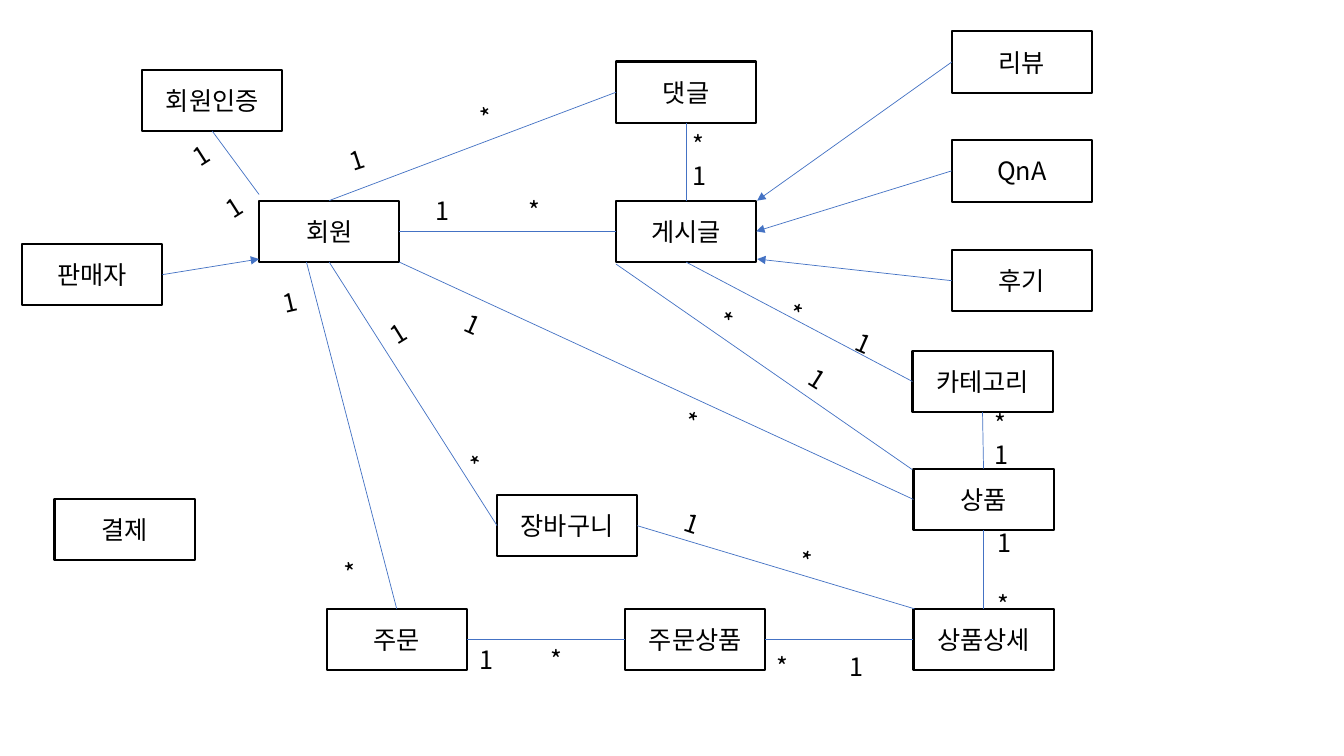
import pptx
import pptx.util
import pptx.dml.color
import pptx.enum.shapes
import pptx.enum.text
import pptx.oxml.ns
from lxml import etree

Inches = pptx.util.Inches
Pt = pptx.util.Pt
qn = pptx.oxml.ns.qn

COLORS = {"text": "000000", "border": "000000", "link": "4472C4"}
FONT = "Noto Sans CJK KR"
BOX_WIDTH, BOX_HEIGHT = 1.39, 0.61
LINE_HEIGHT = 22

# Entity name: left, top
ENTITIES = {
    "회원": (2.57, 1.99), "댓글": (6.11, 0.61), "게시글": (6.11, 1.99),
    "리뷰": (9.44, 0.31), "QnA": (9.44, 1.39), "후기": (9.44, 2.48),
    "주문": (3.24, 6.04), "주문상품": (6.2, 6.04), "상품상세": (9.06, 6.04),
    "장바구니": (4.93, 4.91), "상품": (9.06, 4.65), "카테고리": (9.05, 3.48),
    "판매자": (0.22, 2.42), "결제": (0.54, 4.95), "회원인증": (1.41, 0.69),
}

# Each end is (entity, side) or a free point (x, y)
TOP, LEFT, BOTTOM, RIGHT = range(4)
ASSOCIATIONS = [
    (("회원", RIGHT), ("게시글", LEFT)),
    (("댓글", BOTTOM), ("게시글", TOP)),
    (("게시글", BOTTOM), ("카테고리", LEFT)),
    (("주문", RIGHT), ("주문상품", LEFT)),
    (("주문상품", RIGHT), ("상품상세", LEFT)),
    (("회원", BOTTOM), ("장바구니", LEFT)),
    (("장바구니", RIGHT), (9.07, 6.04)),
    ((3.04, 2.6), ("주문", TOP)),
    (("회원", TOP), ("댓글", LEFT)),
    ((9.05, 4.66), (6.11, 2.62)),
    (("카테고리", BOTTOM), ("상품", TOP)),
    (("상품", BOTTOM), ("상품상세", TOP)),
    ((3.96, 2.6), ("상품", LEFT)),
    (("회원인증", BOTTOM), (2.57, 1.93)),
]
GENERALIZATIONS = [
    (("리뷰", LEFT), (7.51, 1.99)),
    (("QnA", LEFT), ("게시글", RIGHT)),
    (("후기", LEFT), (7.51, 2.57)),
    (("판매자", RIGHT), (2.57, 2.57)),
]

# Marks side by side: marks, left, top, width, rotation, offset of second mark
ROW_MARKS = [
    ("1*", 4.22, 1.88, 1.76, 0, 0.92),
    ("1*", 3.31, 1.02, 2.65, 341.6, 1.37),
    ("1*", 6.65, 5.28, 2.19, 18.7, 1.2),
    ("*1", 6.91, 3.44, 2.05, 32.1, 1.07),
    ("*1", 7.6, 6.41, 1.47, 0, 0.73),
    ("1*", 4.66, 6.34, 1.58, 0, 0.7),
    ("*1", 7.69, 3.14, 1.48, 23.9, 0.73),
    ("1*", 4.36, 3.8, 4.18, 24.1, 2.38),
]
# Marks one above the other: marks, left, top, height, rotation, lines between
COLUMN_MARKS = [
    ("1*", 9.8, 5.18, 1.01, 0, 1),
    ("1*", 3.01, 2.74, 3.13, 346.9, 8),
    ("*1", 9.77, 4, 0.71, 0, 0),
    ("*1", 6.77, 1.23, 0.71, 0, 0),
    ("1*", 4.16, 2.94, 1.92, 328.3, 4),
    ("11", 1.97, 1.24, 1.01, 327.4, 1),
]


def rgb(name):
    return pptx.dml.color.RGBColor.from_string(COLORS[name])


def write_text(paragraph, text, *, size=18, align=None, line_height=None,
               space_before=None, tab=None):
    if align is not None:
        paragraph.alignment = align
    if line_height is not None:
        paragraph.line_spacing = Pt(line_height)
    if space_before is not None:
        paragraph.space_before = Pt(space_before)
    if tab is not None:
        tabs = etree.SubElement(paragraph._p.get_or_add_pPr(), qn("a:tabLst"))
        etree.SubElement(tabs, qn("a:tab"), pos=str(Inches(tab)), algn="l")
    run = paragraph.add_run()
    run.text = text
    run.font.size = Pt(size)
    run.font.name = FONT
    run.font.color.rgb = rgb("text")
    # Hangul takes its typeface from the East Asian slot
    etree.SubElement(run._r.get_or_add_rPr(), qn("a:ea"), typeface=FONT)


def add_entity(slide, name, left, top):
    shape = slide.shapes.add_shape(
        pptx.enum.shapes.MSO_SHAPE.RECTANGLE, Inches(left), Inches(top),
        Inches(BOX_WIDTH), Inches(BOX_HEIGHT))
    shape.shadow.inherit = False
    shape.fill.background()
    shape.line.color.rgb = rgb("border")
    shape.line.width = Pt(1.5)
    shape.text_frame.vertical_anchor = pptx.enum.text.MSO_ANCHOR.MIDDLE
    write_text(shape.text_frame.paragraphs[0], name,
               align=pptx.enum.text.PP_ALIGN.CENTER)
    return shape


def add_link(slide, entities, start, end, arrow=False):
    points = [(0, 0) if isinstance(place[0], str) else place
              for place in (start, end)]
    connector = slide.shapes.add_connector(
        pptx.enum.shapes.MSO_CONNECTOR.STRAIGHT,
        *[Inches(value) for point in points for value in point])
    for place, connect in ((start, connector.begin_connect),
                           (end, connector.end_connect)):
        if isinstance(place[0], str):
            connect(entities[place[0]], place[1])
    connector.line.color.rgb = rgb("link")
    connector.line.width = Pt(0.5)
    if arrow:
        etree.SubElement(connector.line._get_or_add_ln(), qn("a:tailEnd"),
                         type="triangle")
    etree.SubElement(connector._element.spPr, qn("a:effectLst"))


def add_mark_box(slide, left, top, width, height, rotation):
    box = slide.shapes.add_textbox(Inches(left), Inches(top),
                                   Inches(width), Inches(height))
    box.rotation = rotation
    box.text_frame.word_wrap = True
    box.text_frame.auto_size = pptx.enum.text.MSO_AUTO_SIZE.SHAPE_TO_FIT_TEXT
    return box.text_frame


def add_row_marks(slide, marks, left, top, width, rotation, offset):
    frame = add_mark_box(slide, left, top, width, 0.4, rotation)
    write_text(frame.paragraphs[0], "\t".join(marks),
               line_height=LINE_HEIGHT, tab=offset)


def add_column_marks(slide, marks, left, top, height, rotation, gap_lines):
    frame = add_mark_box(slide, left, top, 0.53, height, rotation)
    first, second = marks
    write_text(frame.paragraphs[0], first, line_height=LINE_HEIGHT)
    write_text(frame.add_paragraph(), second, line_height=LINE_HEIGHT,
               space_before=gap_lines * LINE_HEIGHT)


def main():
    presentation = pptx.Presentation()
    presentation.slide_width = Inches(13.33)
    presentation.slide_height = Inches(7.5)
    slide = presentation.slides.add_slide(presentation.slide_layouts[6])

    # Entities
    entities = {name: add_entity(slide, name, *position)
                for name, position in ENTITIES.items()}

    # Relationships
    for start, end in ASSOCIATIONS:
        add_link(slide, entities, start, end)
    for start, end in GENERALIZATIONS:
        add_link(slide, entities, start, end, arrow=True)

    # Multiplicities
    for row in ROW_MARKS:
        add_row_marks(slide, *row)
    for column in COLUMN_MARKS:
        add_column_marks(slide, *column)

    presentation.save("out.pptx")


if __name__ == "__main__":
    main()
